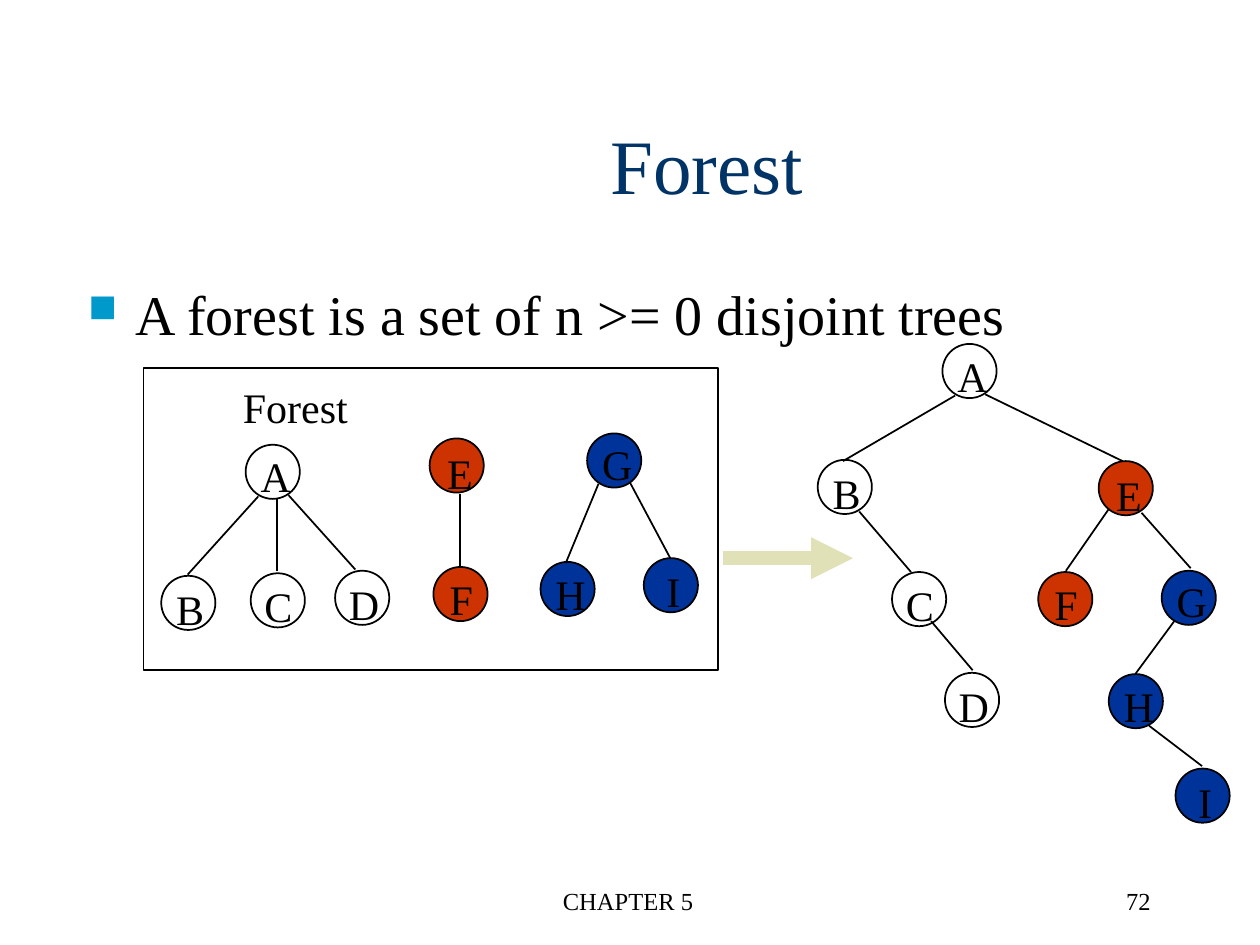
from lxml import etree
from pptx import Presentation
from pptx.dml.color import RGBColor
from pptx.enum import shapes, text
from pptx.oxml import ns
from pptx.util import Inches, Pt

COLORS = {"ink": "000000", "title": "003366", "bullet": "0099CC",
          "red": "CC3300", "blue": "003399", "arrow": "E1E1B7"}
NODE_SIZE = 0.43

# Letter: fill, label offset from the node's corner, label width
LETTERS = {
    "A": (None, 0.02, 0, 0.44),
    "B": (None, 0.02, 0.01, 0.42),
    "C": (None, 0.01, 0.01, 0.42),
    "D": (None, 0.01, 0.01, 0.44),
    "E": ("red", 0.04, 0.02, 0.41),
    "F": ("red", 0.03, 0, 0.39),
    "G": ("blue", 0.02, -0.01, 0.44),
    "H": ("blue", 0.02, 0, 0.44),
    "I": ("blue", 0.08, 0.01, 0.31),
}

FOREST_NODES = {
    "A": (1.95, 3.53), "B": (1.28, 4.57), "C": (1.99, 4.55),
    "D": (2.66, 4.53), "E": (3.41, 3.48), "F": (3.44, 4.5),
    "G": (4.66, 3.44), "H": (4.29, 4.46), "I": (5.11, 4.43),
}
FOREST_EDGES = [
    (2.05, 3.94, 1.49, 4.56), (2.2, 3.96, 2.2, 4.53),
    (2.29, 3.93, 2.82, 4.52), (3.65, 3.92, 3.65, 4.51),
    (4.75, 3.84, 4.49, 4.47), (5, 3.83, 5.32, 4.43),
]
BINARY_NODES = {
    "A": (7.48, 2.73), "B": (6.49, 3.65), "C": (7.08, 4.54),
    "D": (7.5, 5.34), "E": (8.72, 3.66), "F": (8.24, 4.54),
    "G": (9.22, 4.53), "H": (8.8, 5.35), "I": (9.33, 6.1),
}
BINARY_EDGES = [
    (7.58, 3.14, 6.69, 3.66), (7.82, 3.13, 8.91, 3.66),
    (6.82, 4.06, 7.23, 4.54), (7.39, 4.93, 7.72, 5.32),
    (8.8, 4.04, 8.46, 4.53), (9.06, 4.07, 9.45, 4.51),
    (9.32, 4.93, 9.01, 5.35), (9.12, 5.76, 9.54, 6.08),
]


def rgb(name):
    return RGBColor.from_string(COLORS[name])


def add_xml(parent, tag, **attributes):
    return etree.SubElement(parent, ns.qn(tag), attributes)


class TreeSlide:
    font = "Times New Roman"

    def __init__(self, slide):
        self.shapes = slide.shapes

    def text(self, words, left, top, width, height=0.5, size=24, color="ink",
             align=text.PP_ALIGN.LEFT, anchor=text.MSO_ANCHOR.TOP,
             wrap=True, bullet=False):
        box = self.shapes.add_textbox(
            Inches(left), Inches(top), Inches(width), Inches(height))
        frame = box.text_frame
        frame.word_wrap = wrap
        frame.vertical_anchor = anchor
        if not wrap:
            frame.auto_size = text.MSO_AUTO_SIZE.SHAPE_TO_FIT_TEXT
        paragraph = frame.paragraphs[0]
        paragraph.text = words
        paragraph.alignment = align
        if bullet:
            self.bullet(paragraph)
        paragraph.font.name = self.font
        paragraph.font.size = Pt(size)
        paragraph.font.color.rgb = rgb(color)

    def bullet(self, paragraph):
        """Give the paragraph a hanging square bullet."""
        props = paragraph._p.get_or_add_pPr()
        props.set("marL", str(Inches(0.38)))
        props.set("indent", str(Inches(-0.38)))
        color = add_xml(props, "a:buClr")
        add_xml(color, "a:srgbClr", val=COLORS["bullet"])
        add_xml(props, "a:buSzPct", val="70000")
        add_xml(props, "a:buChar", char="■")

    def outline(self, kind, left, top, width, height, fill=None):
        shape = self.shapes.add_shape(
            kind, Inches(left), Inches(top), Inches(width), Inches(height))
        shape.shadow.inherit = False
        if fill:
            shape.fill.solid()
            shape.fill.fore_color.rgb = rgb(fill)
        else:
            shape.fill.background()
        shape.line.color.rgb = rgb("ink")
        shape.line.width = Pt(1)

    def line(self, x1, y1, x2, y2, color="ink", width=1, arrow=False):
        connector = self.shapes.add_connector(
            shapes.MSO_CONNECTOR.STRAIGHT,
            Inches(x1), Inches(y1), Inches(x2), Inches(y2))
        connector.line.color.rgb = rgb(color)
        connector.line.width = Pt(width)
        if arrow:
            add_xml(connector.line._get_or_add_ln(), "a:tailEnd", type="triangle")
        add_xml(connector._element.spPr, "a:effectLst")

    def node(self, letter, left, top):
        fill, dx, dy, label_width = LETTERS[letter]
        self.outline(shapes.MSO_SHAPE.OVAL, left, top, NODE_SIZE, NODE_SIZE, fill)
        self.text(letter, left + dx, top + dy, label_width, wrap=False)

    def tree(self, nodes, edges):
        for letter, corner in nodes.items():
            self.node(letter, *corner)
        for edge in edges:
            self.line(*edge)


def main():
    deck = Presentation()
    deck.slide_width, deck.slide_height = Inches(10), Inches(7.5)
    page = TreeSlide(deck.slides.add_slide(deck.slide_layouts[6]))

    page.text("CHAPTER 5", 3.4, 6.98, 3.17, size=14, align=text.PP_ALIGN.CENTER)
    page.text("72", 7.15, 6.98, 2.08, size=14, align=text.PP_ALIGN.RIGHT)
    page.text("Forest", 0.6, 0.67, 10.02, 1.25, size=44, color="title",
              align=text.PP_ALIGN.CENTER, anchor=text.MSO_ANCHOR.MIDDLE)
    page.text("A forest is a set of n >= 0 disjoint trees",
              0.6, 2.17, 10.02, 4.5, size=32, bullet=True)

    page.tree(FOREST_NODES, FOREST_EDGES)
    page.tree(BINARY_NODES, BINARY_EDGES)
    page.outline(shapes.MSO_SHAPE.RECTANGLE, 1.14, 2.92, 4.56, 2.4)
    page.text("Forest", 1.83, 2.98, 1.04, wrap=False)
    page.line(5.74, 4.43, 6.77, 4.43, color="arrow", width=8, arrow=True)

    deck.save("out.pptx")


if __name__ == "__main__":
    main()
